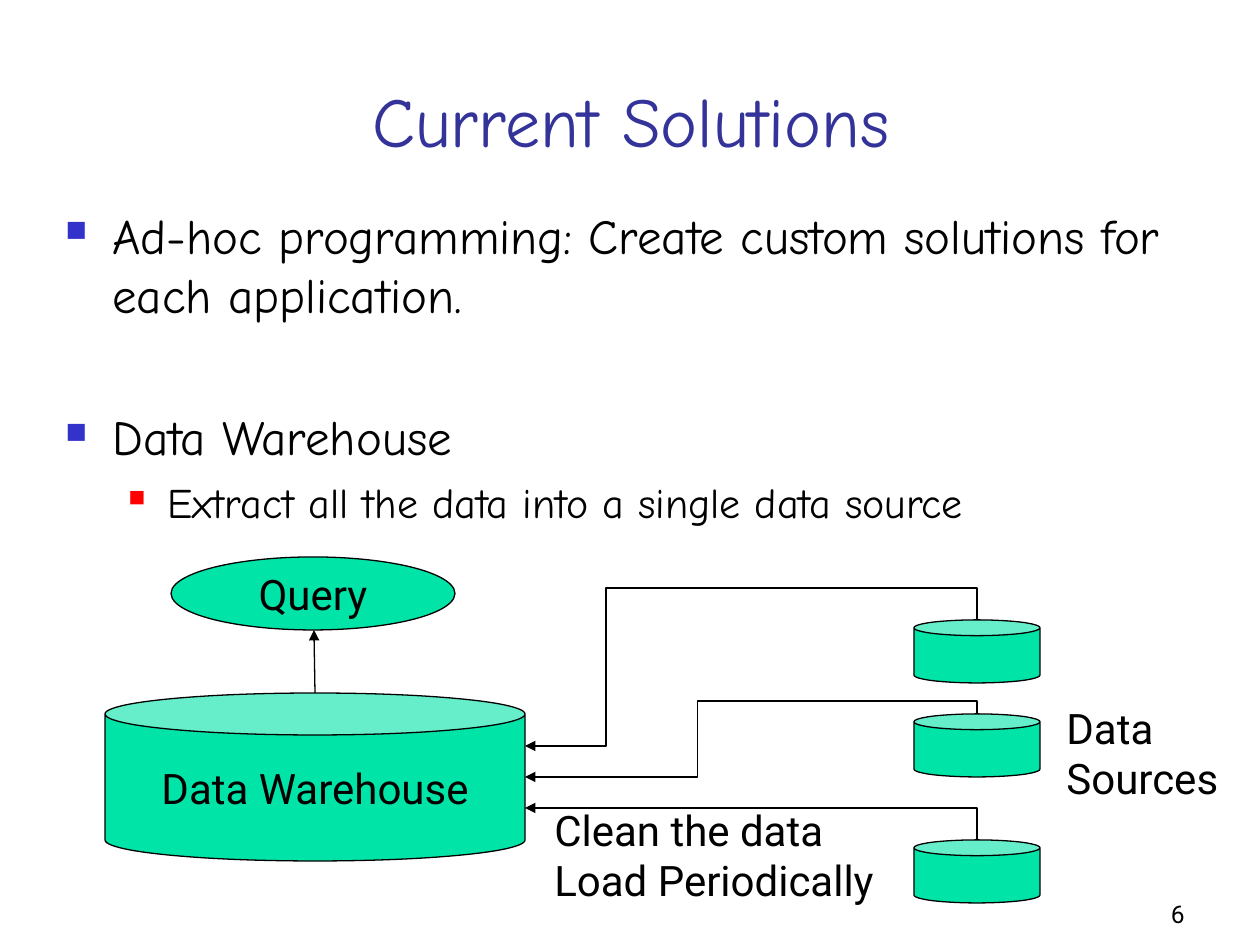
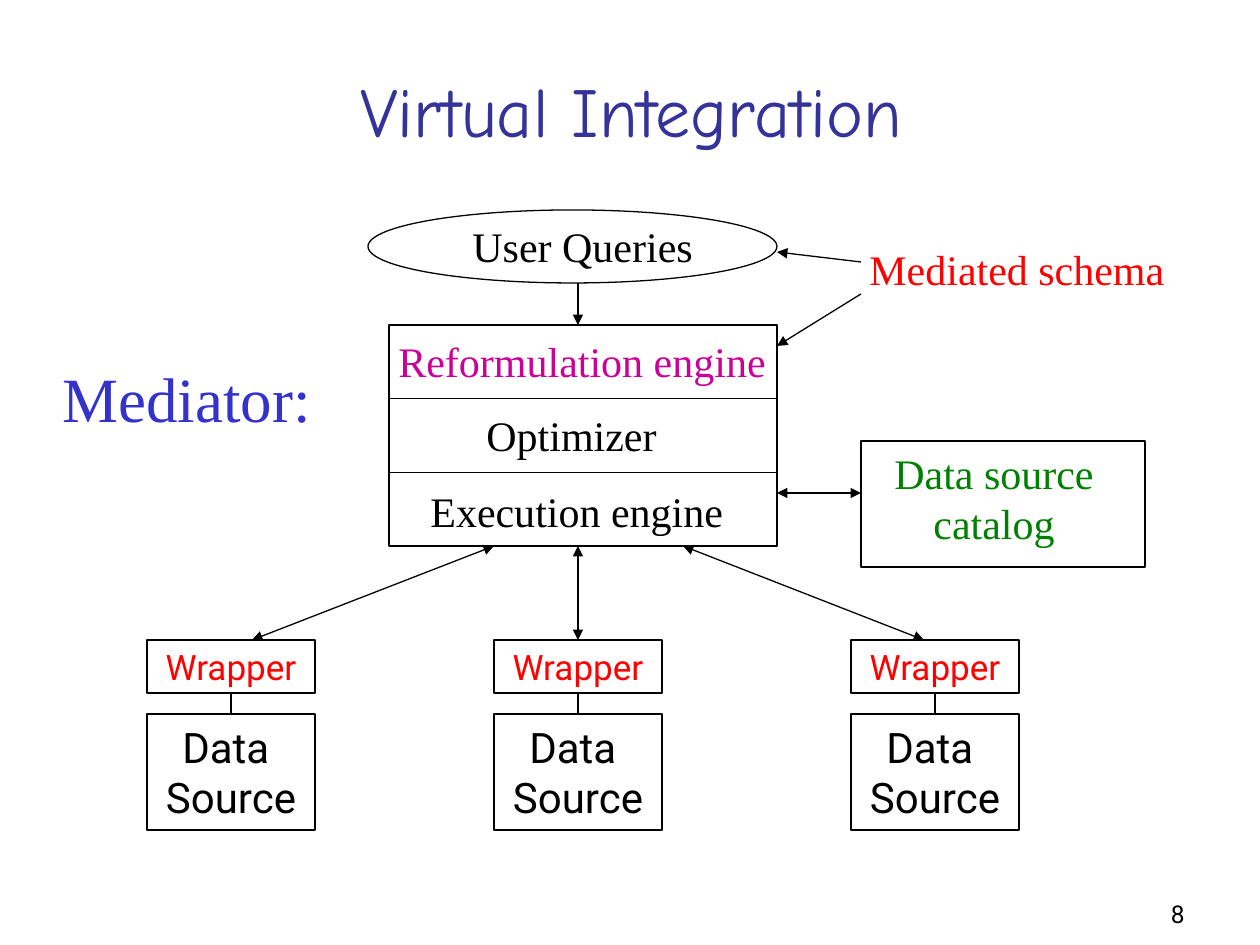
from lxml.etree import SubElement
from pptx import Presentation
from pptx.dml.color import RGBColor
from pptx.enum.shapes import MSO_CONNECTOR as LINK, MSO_SHAPE as SHAPE
from pptx.enum.text import MSO_ANCHOR as ANCHOR, MSO_AUTO_SIZE as FIT, PP_ALIGN as ALIGN
from pptx.oxml.ns import qn
from pptx.util import Pt

SLIDE_W, SLIDE_H = 1260, 945
PX = 914400 / 126

BLACK = RGBColor(0x00, 0x00, 0x00)
TITLE_BLUE = RGBColor(0x33, 0x33, 0x99)
BLUE = RGBColor(0x33, 0x33, 0xCC)
RED = RGBColor(0xFF, 0x00, 0x00)
GREEN = RGBColor(0x00, 0x80, 0x00)
MAGENTA = RGBColor(0xCC, 0x00, 0x99)
MINT = RGBColor(0x00, 0xE4, 0xA8)

COMIC, SANS, SERIF = "Comic Neue", "Roboto", "Times New Roman"
HAIRLINE = Pt(0.75)

TITLE_FRAME = dict(vertical_anchor=ANCHOR.BOTTOM, word_wrap=True, auto_size=FIT.NONE)
BODY_FRAME = dict(vertical_anchor=ANCHOR.TOP, word_wrap=True, auto_size=FIT.NONE)
SHAPE_FRAME = dict(vertical_anchor=ANCHOR.MIDDLE, word_wrap=False)
LABEL_FRAME = dict(vertical_anchor=ANCHOR.TOP, word_wrap=False, auto_size=FIT.SHAPE_TO_FIT_TEXT)

TITLE_BOX = dict(left=94, width=1074, height=158)
BODY_BOX = (53, 199, 1139, 645)
NUMBER_BOX = (935, 872, 262, 63)

BULLETS = {
    "main": dict(size=28, margin=47, hang=47, color=BLUE, percent=60),
    "sub": dict(size=24, margin=102, hang=39, color=RED, percent=55),
}
SOLUTIONS = [
    ("main", 7, "Ad-hoc programming: Create custom solutions for each application."),
    ("main", 48, "Data Warehouse"),
    ("sub", 6, "Extract all the data into a single data source"),
]
WAREHOUSE = (105, 693, 420, 168)
QUERY = (171, 557, 284, 73)
SOURCE_X, SOURCE_W, SOURCE_H = 914, 126, 63
LOADS = [
    dict(source=620, target=746, rise=588, turn=606),
    dict(source=714, target=777, rise=701, turn=697),
    dict(source=840, target=808),
]
WAREHOUSE_LABELS = [
    (["Data", "Sources"], (1054, 696, 184, 113)),
    (["Clean the data", "Load Periodically"], (542, 798, 363, 113)),
]

USER_QUERIES = (368, 210, 409, 73)
ENGINES = (389, 325, 388, 221)
CATALOG = (861, 441, 284, 126)
COLUMNS = [147, 494, 851]
COLUMN_W = 168
WRAPPER_Y, WRAPPER_H = 640, 53
DATA_Y, DATA_H = 714, 116
MEDIATOR_LABELS = [
    (["Mediator:"], (50, 353, 278, 88), dict(size=36, color=BLUE)),
    (["User Queries"], (460, 214, 250, 63), {}),
    (["Mediated schema"], (857, 237, 324, 63), dict(color=RED)),
    (["Data source", "catalog"], (879, 441, 230, 113), dict(color=GREEN, align=ALIGN.CENTER)),
    (["Reformulation engine"], (386, 329, 397, 63), dict(color=MAGENTA)),
    (["Optimizer"], (474, 403, 200, 63), {}),
    (["Execution engine"], (418, 479, 322, 63), {}),
]
ONE_WAY = [
    ((861, 262), (777, 252)),
    ((861, 294), (777, 346)),
    ((578, 283), (578, 325)),
]
TWO_WAY = [
    ((252, 640), (494, 546)),
    ((578, 640), (578, 546)),
    ((683, 546), (924, 640)),
    ((777, 493), (861, 493)),
]


def emu(*lengths):
    return [round(length * PX) for length in lengths]


def apply(target, values):
    for name, value in values.items():
        setattr(target, name, value)


def write(frame, lines, frame_format, size=24, font=SANS, color=BLACK, align=ALIGN.LEFT):
    apply(frame, frame_format)
    for index, line in enumerate(lines):
        paragraph = frame.add_paragraph() if index else frame.paragraphs[0]
        paragraph.alignment = align
        run = paragraph.add_run()
        run.text = line
        apply(run.font, dict(size=Pt(size), name=font))
        run.font.color.rgb = color


def add_label(slide, lines, box, frame_format=LABEL_FRAME, **style):
    label = slide.shapes.add_textbox(*emu(*box))
    write(label.text_frame, lines, frame_format, **style)
    return label.text_frame


def add_node(slide, kind, box, lines=(), fill=None, **style):
    node = slide.shapes.add_shape(kind, *emu(*box))
    node.shadow.inherit = False
    if fill is None:
        node.fill.background()
    else:
        node.fill.solid()
        node.fill.fore_color.rgb = fill
    node.line.color.rgb = BLACK
    node.line.width = HAIRLINE
    write(node.text_frame, lines, SHAPE_FRAME, align=ALIGN.CENTER, **style)


def add_line(slide, start, end, ends=(), kind=LINK.STRAIGHT):
    line = slide.shapes.add_connector(kind, *emu(*start, *end))
    line.line.color.rgb = BLACK
    line.line.width = HAIRLINE
    properties = line._element.spPr
    for end_name in ends:
        SubElement(properties.find(qn("a:ln")), qn(f"a:{end_name}"), type="triangle")
    SubElement(properties, qn("a:effectLst"))
    return properties


def add_load(slide, source, target, rise=None, turn=None):
    start_x, end_x = SOURCE_X + SOURCE_W / 2, WAREHOUSE[0] + WAREHOUSE[2]
    run, drop = start_x - end_x, abs(target - source)
    middle_x, middle_y = (start_x + end_x) / 2, (source + target) / 2
    properties = add_line(
        slide,
        (middle_x - drop / 2, middle_y - run / 2),
        (middle_x + drop / 2, middle_y + run / 2),
        ["tailEnd"],
        LINK.ELBOW,
    )
    frame, geometry = properties.find(qn("a:xfrm")), properties.find(qn("a:prstGeom"))
    if rise is None:
        frame.set("rot", str(270 * 60000))
        frame.set("flipV", "1")
        geometry.set("prst", "bentConnector2")
        return
    frame.set("rot", str(90 * 60000))
    geometry.set("prst", "bentConnector4")
    guides = geometry.find(qn("a:avLst"))
    if guides is None:
        guides = SubElement(geometry, qn("a:avLst"))
    for name, ratio in (("adj1", (rise - source) / drop), ("adj2", (start_x - turn) / run)):
        SubElement(guides, qn("a:gd"), name=name, fmla=f"val {round(ratio * 100000)}")


def add_bullets(slide, items):
    frame = add_label(slide, [], BODY_BOX, BODY_FRAME)
    for index, (level, space, text) in enumerate(items):
        style = BULLETS[level]
        paragraph = frame.add_paragraph() if index else frame.paragraphs[0]
        paragraph.space_before = Pt(space)
        run = paragraph.add_run()
        run.text = text
        apply(run.font, dict(size=Pt(style["size"]), name=COMIC))
        run.font.color.rgb = BLACK
        properties = paragraph._p.get_or_add_pPr()
        margin, hang = emu(style["margin"], style["hang"])
        properties.set("marL", str(margin))
        properties.set("indent", str(-hang))
        color = SubElement(properties, qn("a:buClr"))
        SubElement(color, qn("a:srgbClr"), val=str(style["color"]))
        SubElement(properties, qn("a:buSzPct"), val=str(style["percent"] * 1000))
        SubElement(properties, qn("a:buChar"), char="■")


def start_slide(deck, title, top, number):
    slide = deck.slides.add_slide(deck.slide_layouts[5])
    heading = slide.shapes.title
    for name, length in dict(TITLE_BOX, top=top).items():
        setattr(heading, name, emu(length)[0])
    write(heading.text_frame, [title], TITLE_FRAME, 40, COMIC, TITLE_BLUE, ALIGN.CENTER)
    add_label(slide, [number], NUMBER_BOX, TITLE_FRAME, size=14, align=ALIGN.RIGHT)
    return slide


def build_solutions(deck):
    slide = start_slide(deck, "Current Solutions", 10, "6")
    add_bullets(slide, SOLUTIONS)
    add_node(slide, SHAPE.CAN, WAREHOUSE, ["Data Warehouse"], MINT)
    add_node(slide, SHAPE.OVAL, QUERY, ["Query"], MINT)
    add_line(slide, (315, 693), (314, 630), ["tailEnd"])
    for load in LOADS:
        add_node(slide, SHAPE.CAN, (SOURCE_X, load["source"], SOURCE_W, SOURCE_H), fill=MINT)
        add_load(slide, **load)
    for lines, box in WAREHOUSE_LABELS:
        add_label(slide, lines, box)


def build_integration(deck):
    slide = start_slide(deck, "Virtual Integration", 0, "8")
    add_node(slide, SHAPE.OVAL, USER_QUERIES)
    for box in (ENGINES, CATALOG):
        add_node(slide, SHAPE.RECTANGLE, box)
    left, top, width, height = ENGINES
    for row in (1, 2):
        y = top + height * row / 3
        add_line(slide, (left, y), (left + width, y))
    for x in COLUMNS:
        add_node(slide, SHAPE.RECTANGLE, (x, WRAPPER_Y, COLUMN_W, WRAPPER_H), ["Wrapper"], size=20, color=RED)
        add_node(slide, SHAPE.RECTANGLE, (x, DATA_Y, COLUMN_W, DATA_H), ["Data ", "Source"])
        center = x + COLUMN_W / 2
        add_line(slide, (center, WRAPPER_Y + WRAPPER_H), (center, DATA_Y))
    for start, end in ONE_WAY:
        add_line(slide, start, end, ["tailEnd"])
    for start, end in TWO_WAY:
        add_line(slide, start, end, ["headEnd", "tailEnd"])
    for lines, box, style in MEDIATOR_LABELS:
        add_label(slide, lines, box, font=SERIF, **style)


def main():
    deck = Presentation()
    deck.slide_width, deck.slide_height = emu(SLIDE_W, SLIDE_H)
    build_solutions(deck)
    build_integration(deck)
    deck.save("out.pptx")


if __name__ == "__main__":
    main()
